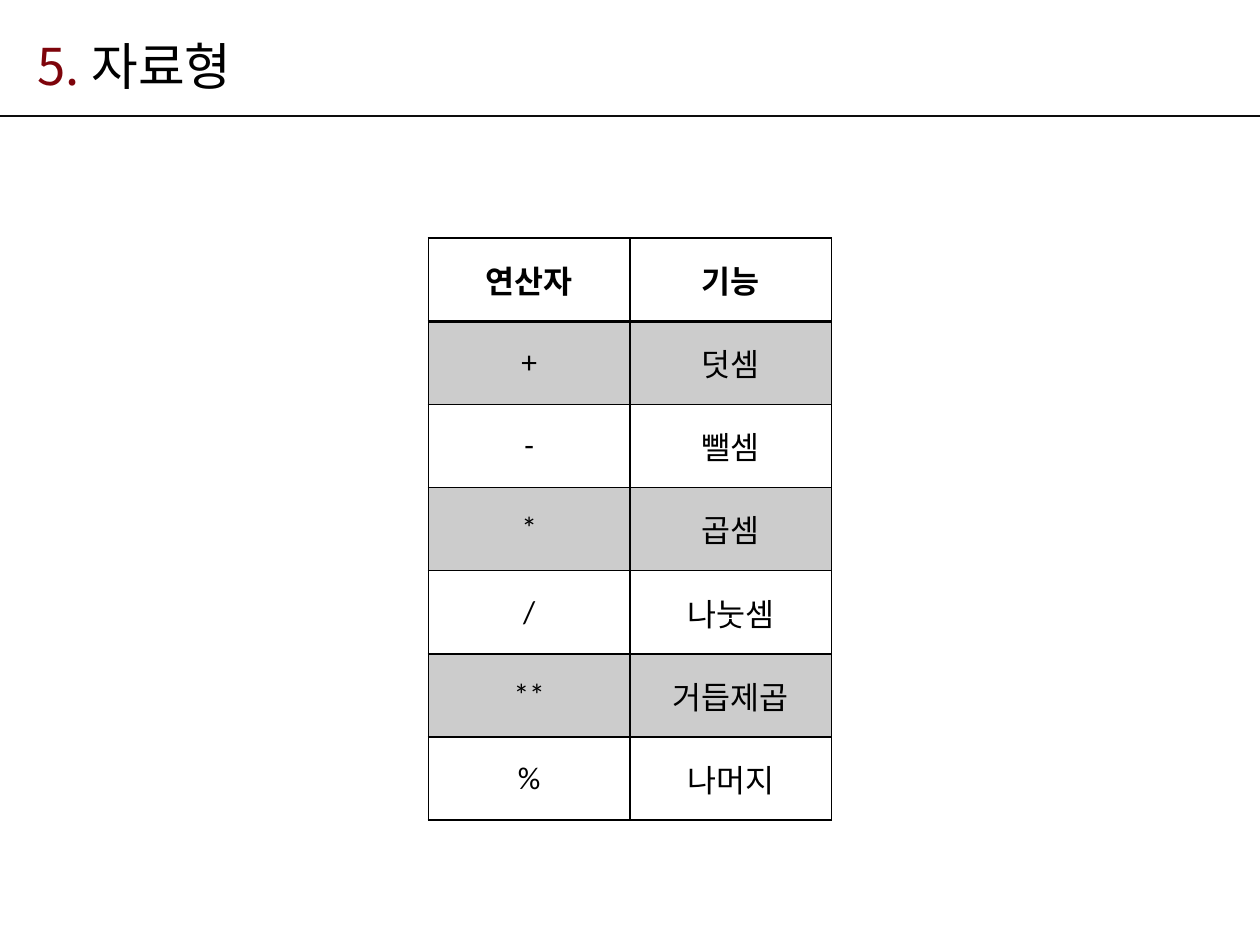
from lxml import etree
from pptx import Presentation
from pptx import util as u
from pptx.dml.color import RGBColor
from pptx.enum import shapes, text
from pptx.oxml.ns import qn

COLORS = {"number": "7E040B", "ink": "000000", "rule": "0D0D0D", "paper": "FFFFFF"}
TITLE_FONT = "Noto Sans CJK KR"
OPERATORS = [
    ("연산자", "기능"),
    ("+", "덧셈"),
    ("-", "뺄셈"),
    ("*", "곱셈"),
    ("/", "나눗셈"),
    ("**", "거듭제곱"),
    ("%", "나머지"),
]


def color(name):
    """Return the palette colour with this name."""
    return RGBColor.from_string(COLORS[name])


def add_border(cell, side, points):
    """Draw one solid edge (L, R, T or B) of a table cell."""
    edge = etree.SubElement(cell._tc.get_or_add_tcPr(), qn(f"a:ln{side}"), w=str(u.Pt(points)))
    fill = etree.SubElement(edge, qn("a:solidFill"))
    etree.SubElement(fill, qn("a:srgbClr"), val=COLORS["ink"])


deck = Presentation()
deck.slide_width, deck.slide_height = u.Inches(10), u.Inches(7.5)
page = deck.slides.add_slide(deck.slide_layouts[5])

# Rule under the heading
rule = page.shapes.add_connector(
    shapes.MSO_CONNECTOR.STRAIGHT, u.Inches(0), u.Inches(0.92), u.Inches(10), u.Inches(0.92)
)
rule.line.color.rgb = color("rule")
rule.line.width = u.Pt(1.5)
etree.SubElement(rule._element.spPr, qn("a:effectLst"))

# Heading
title = page.shapes.title
title.left, title.top = u.Inches(0.2), u.Inches(0.21)
title.width, title.height = u.Inches(8.43), u.Inches(0.61)
title.text_frame.auto_size = text.MSO_AUTO_SIZE.NONE
title.text_frame.vertical_anchor = text.MSO_ANCHOR.MIDDLE
para = title.text_frame.paragraphs[0]
para.alignment = text.PP_ALIGN.LEFT
for words, tint in (("5. ", "number"), ("자료형", "ink")):
    span = para.add_run()
    span.text = words
    span.font.size = u.Pt(29)
    span.font.name = TITLE_FONT
    span.font.color.rgb = color(tint)
    etree.SubElement(span.font._element, qn("a:ea"), typeface=TITLE_FONT)

# Operator table
frame = page.shapes.add_table(
    len(OPERATORS), 2, u.Inches(3.4), u.Inches(1.89), u.Inches(3.2), u.Inches(4.62)
)
table = frame.table
for row, entries in enumerate(OPERATORS):
    table.rows[row].height = u.Inches(0.66)
    for column, words in enumerate(entries):
        cell = table.cell(row, column)
        cell.vertical_anchor = text.MSO_ANCHOR.MIDDLE
        cell.text = words
        para = cell.text_frame.paragraphs[0]
        para.alignment = text.PP_ALIGN.CENTER
        para.font.name = "Calibri"
        para.font.size = u.Pt(18)
        para.font.bold = row == 0
        para.font.color.rgb = color("ink")

        add_border(cell, "L", 1)
        add_border(cell, "R", 1)
        add_border(cell, "T", 2 if row == 1 else 1)
        add_border(cell, "B", 2 if row == 0 else 1)

        shaded = row % 2 == 1
        cell.fill.solid()
        cell.fill.fore_color.rgb = color("ink" if shaded else "paper")
        if shaded:
            tint = cell._tc.tcPr.find(qn("a:solidFill")).find(qn("a:srgbClr"))
            etree.SubElement(tint, qn("a:alpha"), val="20000")

deck.save("out.pptx")
